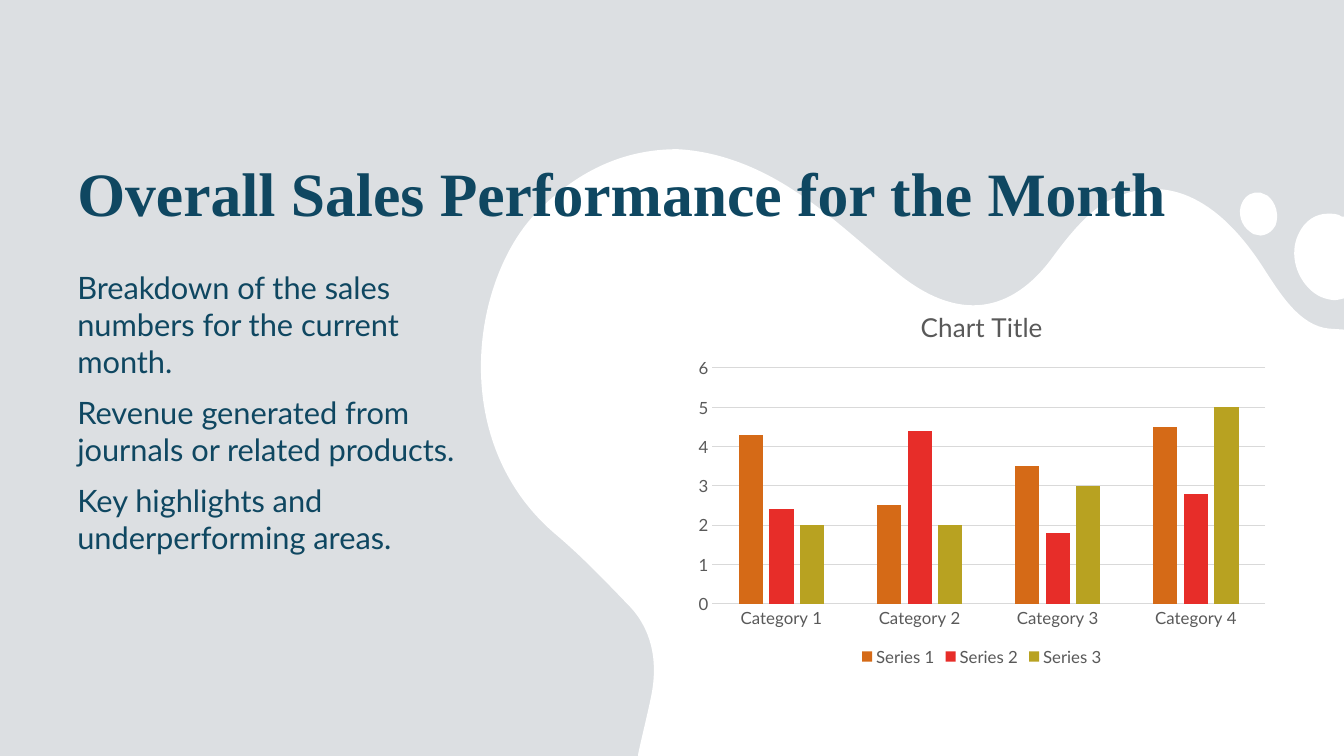
"""Build the monthly sales performance slide with its bubble backdrop and column chart."""
import lxml.etree
import pptx
import pptx.chart.data
import pptx.dml.color
import pptx.enum.chart
import pptx.enum.shapes
import pptx.enum.text
import pptx.oxml.ns
import pptx.util

NAVY, GREY, RULE, BACKDROP = "0F4761", "595959", "D9D9D9", "E2E5E8"
BODY_FONT = "Lato"

deck = pptx.Presentation()
deck.slide_width = pptx.util.Inches(13.33)
deck.slide_height = pptx.util.Inches(7.5)


def rgb(code):
    return pptx.dml.color.RGBColor.from_string(code)


def share(left, top, width, height):
    """Turn percentages of the slide's size into a left, top, width, height box."""
    return [round(percent * full / 100) for percent, full in zip(
        (left, top, width, height), (deck.slide_width, deck.slide_height) * 2)]


slide = deck.slides.add_slide(deck.slide_layouts[1])
slide.background.fill.solid()
slide.background.fill.fore_color.rgb = rgb(BACKDROP)
heading, points = slide.placeholders

for colour, opacity in ((BACKDROP, 100), ("AEAEAE", 10)):
    layer = slide.shapes.add_shape(
        pptx.enum.shapes.MSO_SHAPE.RECTANGLE, *share(0, 0, 100, 100))
    layer.shadow.inherit = False
    layer.fill.solid()
    layer.fill.fore_color.rgb = rgb(colour)
    layer.line.fill.background()
    if opacity < 100:
        tint = layer._element.spPr.find(".//" + pptx.oxml.ns.qn("a:srgbClr"))
        alpha = lxml.etree.SubElement(tint, pptx.oxml.ns.qn("a:alpha"))
        alpha.set("val", str(opacity * 1000))

# Each outline holds points in inches: pairs are corners, sixes are cubic curves.
edge_bubble = [
    (13.17, 2.12), (13.22, 2.12, 13.27, 2.12, 13.31, 2.15), (13.33, 2.15),
    (13.33, 2.96), (13.29, 2.97), (13.25, 2.98, 13.22, 2.98, 13.18, 2.97),
    (13.13, 2.96, 13.08, 2.94, 13.04, 2.91), (12.86, 2.78, 12.78, 2.52, 12.88, 2.32),
    (12.94, 2.19, 13.05, 2.12, 13.17, 2.12)]
small_bubble = [
    (12.5, 1.91), (12.52, 1.92, 12.55, 1.93, 12.57, 1.94),
    (12.66, 2.01, 12.69, 2.14, 12.65, 2.24), (12.62, 2.29, 12.58, 2.32, 12.54, 2.33),
    (12.52, 2.34, 12.49, 2.34, 12.47, 2.33), (12.44, 2.33, 12.42, 2.32, 12.4, 2.3),
    (12.31, 2.24, 12.27, 2.11, 12.32, 2.01), (12.36, 1.93, 12.43, 1.9, 12.5, 1.91)]
wave = [
    (6.72, 1.48), (7.1, 1.5, 7.5, 1.64, 7.89, 1.9), (8.26, 2.14, 8.59, 2.46, 8.94, 2.74),
    (9.44, 3.13, 9.97, 3.17, 10.42, 2.58), (10.58, 2.36, 10.77, 2.12, 10.98, 2),
    (11.54, 1.7, 12.07, 1.95, 12.52, 2.64), (12.7, 2.92, 12.89, 3.23, 13.18, 3.26),
    (13.33, 3.27), (13.33, 7.5), (6.33, 7.5), (6.33, 7.48),
    (6.37, 7.29, 6.42, 7.1, 6.46, 6.9), (6.53, 6.55, 6.46, 6.23, 6.23, 6),
    (6, 5.76, 5.76, 5.51, 5.51, 5.3), (4.98, 4.85, 4.77, 4.23, 4.77, 3.64),
    (4.77, 3.02, 5, 2.44, 5.32, 2.11), (5.76, 1.66, 6.23, 1.48, 6.72, 1.48)]
outlines = (edge_bubble, small_bubble, wave)

pen = None
for outline in outlines:
    flat = [pptx.util.Inches(number) for piece in outline for number in piece]
    corners = list(zip(flat[::2], flat[1::2]))
    if pen is None:
        pen = slide.shapes.build_freeform(*corners[0])
    else:
        pen.move_to(*corners[0])
    pen.add_line_segments(corners[1:], close=True)
bubbles = pen.convert_to_shape()
bubbles.shadow.inherit = False
bubbles.fill.solid()
bubbles.fill.fore_color.rgb = rgb("FFFFFF")
bubbles.line.fill.background()

strokes = iter(list(bubbles._element.spPr.find(".//" + pptx.oxml.ns.qn("a:path"))))
for outline in outlines:
    for piece in outline:
        stroke = next(strokes)
        if len(piece) == 6:
            curve = lxml.etree.Element(pptx.oxml.ns.qn("a:cubicBezTo"))
            stroke.addprevious(curve)
            for part in (stroke, next(strokes), next(strokes)):
                curve.append(part[0])
                part.getparent().remove(part)
    next(strokes)

heading.text_frame.text = "Overall Sales Performance for the Month"
points.text_frame.text = "\n".join((
    "Breakdown of the sales numbers for the current month.",
    "Revenue generated from journals or related products.",
    "Key highlights and underperforming areas."))
for holder, box, anchor, font_name, size, bold, gap in (
        (heading, (5, 8, 90, 22.9), "BOTTOM", "Times New Roman", 44, True, 0),
        (points, (5, 34.9, 31.7, 41.9), "TOP", BODY_FONT, 22, False, 10)):
    holder.left, holder.top, holder.width, holder.height = share(*box)
    frame = holder.text_frame
    frame.word_wrap = True
    frame.auto_size = pptx.enum.text.MSO_AUTO_SIZE.NONE
    frame.vertical_anchor = pptx.enum.text.MSO_ANCHOR[anchor]
    for paragraph in frame.paragraphs:
        paragraph.alignment = pptx.enum.text.PP_ALIGN.LEFT
        paragraph.space_before = pptx.util.Pt(gap)
        layout = paragraph._p.get_or_add_pPr()
        layout.set("marL", "0")
        layout.set("indent", "0")
        lxml.etree.SubElement(layout, pptx.oxml.ns.qn("a:buNone"))
        font = paragraph.runs[0].font
        font.name, font.size, font.bold = font_name, pptx.util.Pt(size), bold
        font.color.rgb = rgb(NAVY)
    slide.shapes._spTree.append(holder._element)

sales = pptx.chart.data.CategoryChartData()
sales.categories = [f"Category {number}" for number in range(1, 5)]
sales.add_series("Series 1", (4.3, 2.5, 3.5, 4.5))
sales.add_series("Series 2", (2.4, 4.4, 1.8, 2.8))
sales.add_series("Series 3", (2, 2, 3, 5))
chart = slide.shapes.add_chart(
    pptx.enum.chart.XL_CHART_TYPE.COLUMN_CLUSTERED,
    *share(51.1, 38.4, 43.9, 50.3), sales).chart

chart.has_title = True
chart.chart_title.text_frame.text = "Chart Title"
chart.chart_title.include_in_layout = False
chart.has_legend = True
chart.legend.position = pptx.enum.chart.XL_LEGEND_POSITION.BOTTOM
chart.legend.include_in_layout = False

categories, values = chart.category_axis, chart.value_axis
for axis in (categories, values):
    axis.major_tick_mark = axis.minor_tick_mark = pptx.enum.chart.XL_TICK_MARK.NONE
values.minimum_scale, values.maximum_scale, values.major_unit = 0, 6, 1
values.has_major_gridlines = True
values.format.line.fill.background()
for rule in (categories.format.line, values.major_gridlines.format.line):
    rule.color.rgb = rgb(RULE)
    rule.width = pptx.util.Pt(0.75)

title_font = chart.chart_title.text_frame.paragraphs[0].runs[0].font
for font, size, colour in (
        (chart.font, 10, "000000"), (title_font, 18.6, GREY), (chart.legend.font, 12, GREY),
        (categories.tick_labels.font, 12, GREY), (values.tick_labels.font, 12, GREY)):
    font.name, font.size, font.bold = BODY_FONT, pptx.util.Pt(size), False
    font.color.rgb = rgb(colour)

columns = chart.plots[0]
columns.gap_width, columns.overlap, columns.vary_by_categories = 219, -27, False
for series, colour in zip(columns.series, ("D56A17", "E72D29", "B8A221")):
    series.format.fill.solid()
    series.format.fill.fore_color.rgb = rgb(colour)

deck.save("out.pptx")
